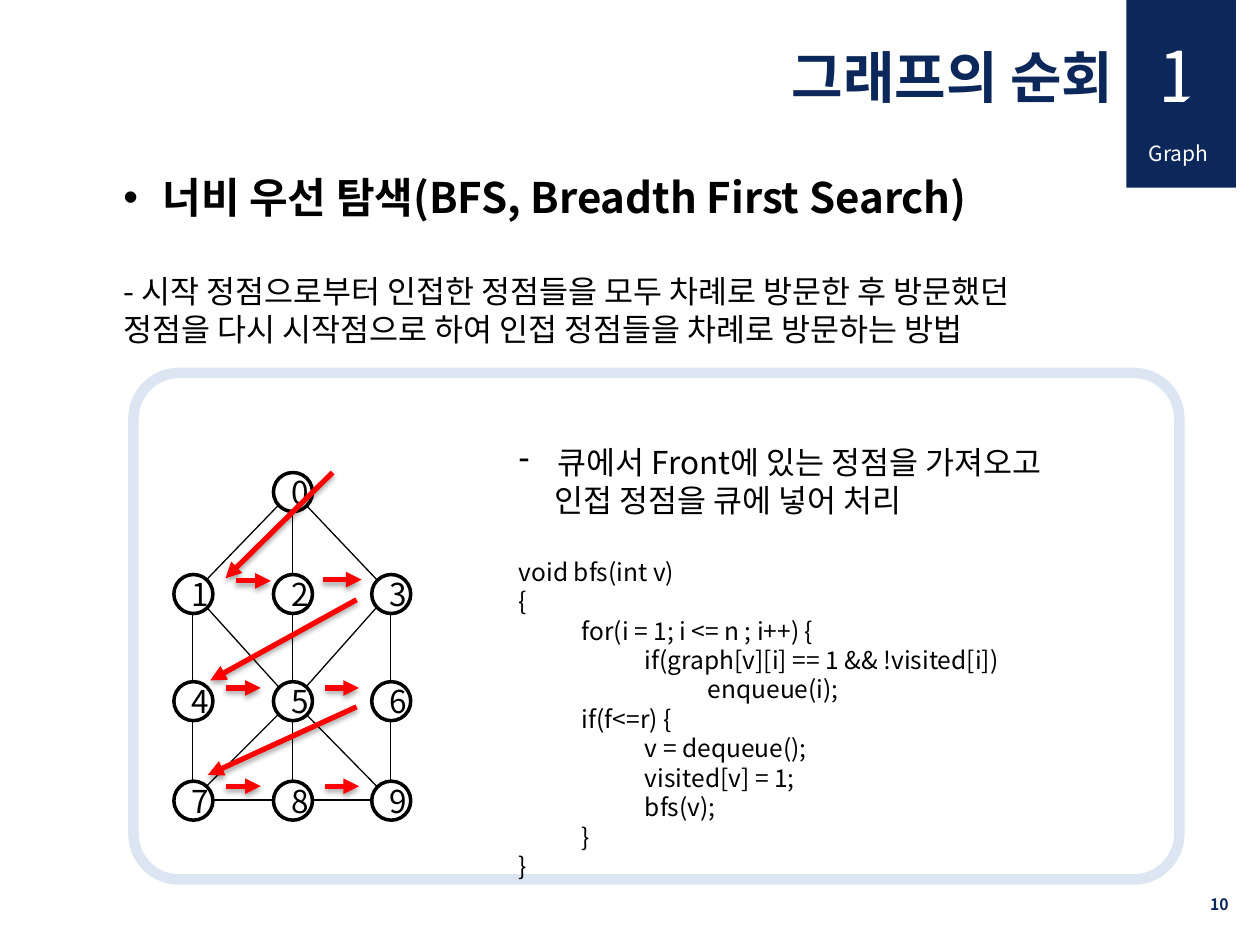
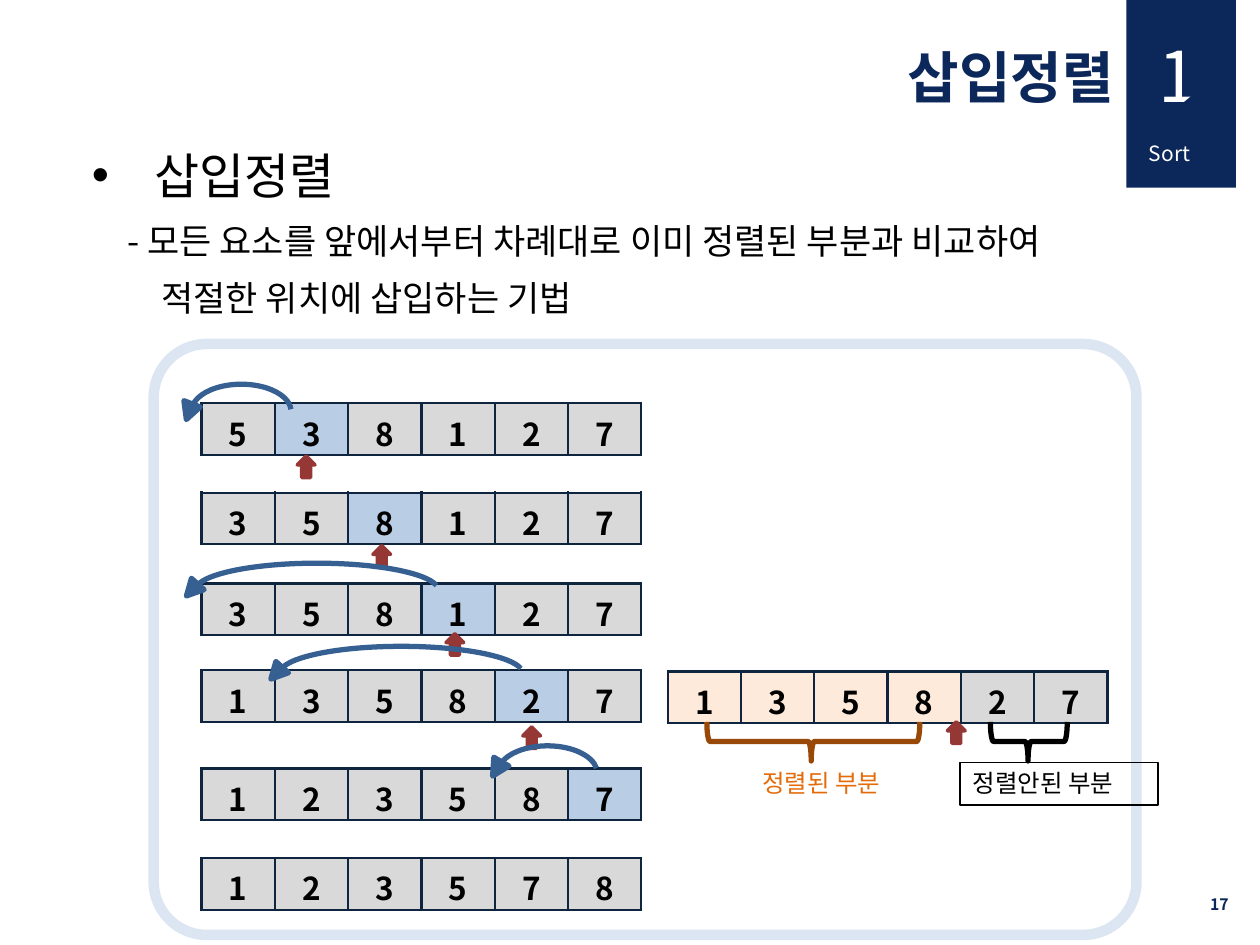
from lxml import etree
from pptx import Presentation
from pptx.dml.color import RGBColor
from pptx.enum.shapes import MSO_CONNECTOR, MSO_SHAPE
from pptx.enum.text import MSO_ANCHOR, MSO_AUTO_SIZE, PP_ALIGN
from pptx.oxml.ns import qn
from pptx.util import Pt

PX = 9144  # EMU per px, 100 px to the inch
FONT = "Noto Sans CJK KR"
NAVY, BLACK, WHITE, RED = "0C2759", "000000", "FFFFFF", "FF0000"
PANEL, GRAY, BLUE, PEACH = "DCE6F2", "D9D9D9", "B9CDE5", "FDEADA"
GRID, MARKER, ARC_BLUE = "0F243E", "953735", "376092"
BROWN, ORANGE = "984807", "E46C0A"

LEFT, CENTER, RIGHT = PP_ALIGN.LEFT, PP_ALIGN.CENTER, PP_ALIGN.RIGHT
TOP, MIDDLE = MSO_ANCHOR.TOP, MSO_ANCHOR.MIDDLE
RECT, ROUND_RECT, ELLIPSE = MSO_SHAPE.RECTANGLE, MSO_SHAPE.ROUNDED_RECTANGLE, MSO_SHAPE.OVAL
TRIANGLE, UP_ARROW = MSO_SHAPE.ISOSCELES_TRIANGLE, MSO_SHAPE.UP_ARROW
BRACE, ARC = MSO_SHAPE.RIGHT_BRACE, MSO_SHAPE.ARC
STRAIGHT = MSO_CONNECTOR.STRAIGHT

NODE = 31
COLUMNS = (138, 217, 295)
ROWS = (375, 456, 541, 620)
EDGES = [(0, 1), (0, 2), (0, 3), (2, 5), (3, 5), (1, 5), (1, 4), (4, 7),
         (7, 5), (3, 6), (6, 9), (5, 9), (5, 8), (7, 8), (8, 9)]
VISITS = [(264, 375, 179, 459), (187, 461, 215, 461), (256, 460, 287, 460),
          (283, 476, 167, 540), (179, 546, 207, 546), (258, 546, 285, 546),
          (283, 561, 165, 615), (179, 624, 207, 624), (258, 624, 285, 624)]

BFS_CODE = """void bfs(int v)
{
\tfor(i = 1; i <= n ; i++) {
\t\tif(graph[v][i] == 1 && !visited[i])
\t\t\tenqueue(i);
\tif(f<=r) {
\t\tv = dequeue();
\t\tvisited[v] = 1;
\t\tbfs(v);
\t}
}"""

# top, values, index of the highlighted cell
SORT_STEPS = [(320, "538127", 1), (391, "358127", 2), (463, "358127", 3),
              (532, "135827", 4), (610, "123587", 5), (681, "123578", None)]
MARKERS = [(236, 362), (296, 433), (354, 503), (415, 577), (752, 573)]
# tip of the arrowhead, its two other corners from the tip, arc box, arc angles
MOVES = [((148, 333), ((11, -10), (-2, -15)), (152, 305, 79, 43), (111.12, 214.6)),
         ((148, 473), ((14, -5), (4, -14)), (155, 447, 193, 43), (109.03, 214.6)),
         ((215, 539), ((14, -5), (4, -14)), (222, 513, 193, 43), (109.03, 214.6)),
         ((391, 616), ((13, -8), (1, -15)), (395, 592, 79, 43), (111.12, 212.61))]


def rgb(value):
    return RGBColor.from_string(value)


def px(*values):
    return [v * PX for v in values]


def set_all(target, values):
    for name, value in values.items():
        setattr(target, name, value)


def paint(s, fill=None, line=None, width=1):
    if fill:
        s.fill.solid()
        s.fill.fore_color.rgb = rgb(fill)
    else:
        s.fill.background()
    if line:
        s.line.color.rgb = rgb(line)
        s.line.width = Pt(width)
    else:
        s.line.fill.background()


def para(text, size, color=BLACK, bold=False, margin=0, hang=0, bullet=None, **layout):
    """Describe one paragraph; layout holds python-pptx paragraph attributes."""
    return dict(text=text, color=color, margin=margin, hang=hang, bullet=bullet,
                font=dict(size=Pt(size), bold=bold, name=FONT), layout=layout)


def write(tf, paras):
    for i, item in enumerate(paras):
        p = tf.paragraphs[0] if i == 0 else tf.add_paragraph()
        set_all(p, {"alignment": LEFT, "space_before": Pt(0), **item["layout"]})
        pPr = p._p.get_or_add_pPr()
        pPr.set("marL", str(item["margin"] * PX))
        pPr.set("indent", str(-item["hang"] * PX))
        if item["bullet"]:
            etree.SubElement(pPr, qn("a:buChar"), char=item["bullet"])
        else:
            etree.SubElement(pPr, qn("a:buNone"))
        r = p.add_run()
        r.text = item["text"]
        set_all(r.font, item["font"])
        r.font.color.rgb = rgb(item["color"])
        etree.SubElement(r._r.get_or_add_rPr(), qn("a:ea"), typeface=FONT)


def add_text(slide, box, *paras, anchor=TOP):
    s = slide.shapes.add_textbox(*px(*box))
    set_all(s.text_frame, dict(word_wrap=True, vertical_anchor=anchor))
    write(s.text_frame, paras)
    return s


def fill_placeholder(s, box, *paras):
    set_all(s, dict(zip(("left", "top", "width", "height"), px(*box))))
    set_all(s.text_frame, dict(word_wrap=True, vertical_anchor=TOP,
                               auto_size=MSO_AUTO_SIZE.NONE))
    write(s.text_frame, paras)


def add_shape(slide, kind, box, fill=None, line=None, width=1, adj=(), rotation=0):
    s = slide.shapes.add_shape(kind, *px(*box))
    s.shadow.inherit = False
    s.rotation = rotation
    for i, value in enumerate(adj):
        s.adjustments[i] = value
    paint(s, fill, line, width)
    return s


def add_line(slide, ends, color=BLACK, width=0.75):
    c = slide.shapes.add_connector(STRAIGHT, *px(*ends))
    c.line.color.rgb = rgb(color)
    c.line.width = Pt(width)
    etree.SubElement(c._element.spPr, qn("a:effectLst"))
    return c


def add_visit_arrow(slide, ends):
    spPr = add_line(slide, ends, RED, 3)._element.spPr
    etree.SubElement(spPr.find(qn("a:ln")), qn("a:tailEnd"), type="triangle")
    shadow = etree.SubElement(spPr.find(qn("a:effectLst")), qn("a:outerShdw"),
                              blurRad="39370", dist="23000", dir="5400000", rotWithShape="0")
    black = etree.SubElement(shadow, qn("a:srgbClr"), val=BLACK)
    etree.SubElement(black, qn("a:alpha"), val="35000")


def add_frame(prs, title, topic, number, panel):
    """Add a slide with its title, chapter band, page number and rounded panel."""
    slide = prs.slides.add_slide(prs.slide_layouts[1])
    fill_placeholder(slide.shapes.title, (579, 29, 315, 64),
                     para(title, 32, NAVY, True, alignment=RIGHT))
    add_shape(slide, RECT, (894, 0, 87, 149), NAVY)
    add_text(slide, (902, 107, 79, 30), para(topic, 12, WHITE))
    add_text(slide, (910, 21, 63, 77), para("1", 40, WHITE))
    add_shape(slide, TRIANGLE, (918, 60, 47, 39), NAVY, adj=(1,))
    add_text(slide, (752, 698, 233, 40),
             para(number, 9, NAVY, True, alignment=RIGHT), anchor=MIDDLE)
    add_shape(slide, ROUND_RECT, panel, line=PANEL, width=6, adj=(0.09,))
    return slide


def node_cell(n):
    """Row and column of a node; node 0 stands alone above the middle column."""
    return divmod(n + 2, 3) if n else (0, 1)


def add_node(slide, n):
    row, col = node_cell(n)
    s = add_shape(slide, ELLIPSE, (COLUMNS[col], ROWS[row], NODE, NODE), WHITE, BLACK, 2)
    s.text_frame.vertical_anchor = MIDDLE
    write(s.text_frame, [para(str(n), 18, alignment=CENTER)])


def add_edge(slide, a, b):
    """Join two nodes at the rim point, straight or at 45 degrees, that faces the other."""
    (row_a, col_a), (row_b, col_b) = node_cell(a), node_cell(b)
    dx = (col_b > col_a) - (col_b < col_a)
    dy = (row_b > row_a) - (row_b < row_a)
    reach = 11 if dx and dy else 16
    half = NODE // 2
    add_line(slide, (COLUMNS[col_a] + half + dx * reach, ROWS[row_a] + half + dy * reach,
                     COLUMNS[col_b] + half - dx * reach, ROWS[row_b] + half - dy * reach))


def add_array(slide, left, top, values, fills):
    table = slide.shapes.add_table(1, len(values), *px(left, top, 349, 41)).table
    table.first_row = table.horz_banding = False
    for cell, value, fill in zip(table.iter_cells(), values, fills):
        tcPr = cell._tc.get_or_add_tcPr()
        for side in "LRTB":
            ln = etree.SubElement(tcPr, qn("a:ln" + side), w=str(Pt(1.5)))
            solid = etree.SubElement(ln, qn("a:solidFill"))
            etree.SubElement(solid, qn("a:srgbClr"), val=GRID)
        cell.fill.solid()
        cell.fill.fore_color.rgb = rgb(fill)
        write(cell.text_frame, [para(value, 18, bold=True, alignment=CENTER)])


def add_move(slide, tip, corners, box, angles):
    """Draw an arc with a triangular head at its left end."""
    x, y = tip
    builder = slide.shapes.build_freeform(x, y, scale=PX)
    builder.add_line_segments([(x + dx, y + dy) for dx, dy in corners], close=True)
    head = builder.convert_to_shape()
    head.shadow.inherit = False
    paint(head, ARC_BLUE, ARC_BLUE, 3)
    add_shape(slide, ARC, box, line=ARC_BLUE, width=3, adj=angles)


def build_bfs(prs):
    slide = add_frame(prs, "그래프의 순회", "Graph", "10", (106, 296, 830, 402))
    fill_placeholder(
        slide.placeholders[1], (88, 131, 796, 151),
        para("너비 우선 탐색(BFS, Breadth First Search)", 24, bold=True,
             margin=31, hang=31, bullet="•"),
        para("- 시작 정점으로부터 인접한 정점들을 모두 차례로 방문한 후 방문했던 정점을 "
             "다시 시작점으로 하여 인접 정점들을 차례로 방문하는 방법", 18, space_before=Pt(29)))
    first, *rest = BFS_CODE.split("\n")
    add_text(slide, (402, 347, 533, 390),
             para("큐에서 Front에 있는 정점을 가져오고", 18, margin=31, hang=31, bullet="-"),
             para("인접 정점을 큐에 넣어 처리", 18, margin=28),
             para(first, 14, space_before=Pt(21.6)),
             *[para(line, 14) for line in rest])
    for n in range(10):
        add_node(slide, n)
    for edge in EDGES:
        add_edge(slide, *edge)
    for ends in VISITS:
        add_visit_arrow(slide, ends)


def build_insertion_sort(prs):
    slide = add_frame(prs, "삽입정렬", "Sort", "17", (122, 273, 780, 469))
    loose = dict(line_spacing=1.2, space_before=Pt(4))
    fill_placeholder(
        slide.placeholders[1], (63, 101, 937, 203),
        para("삽입정렬", 28, margin=50, hang=50, bullet="•", line_spacing=1.2),
        para("- 모든 요소를 앞에서부터 차례대로 이미 정렬된 부분과 비교하여", 20, margin=28, **loose),
        para("적절한 위치에 삽입하는 기법", 20, margin=55, **loose))
    for top, values, current in SORT_STEPS:
        add_array(slide, 160, top, values,
                  [BLUE if i == current else GRAY for i in range(len(values))])
    add_array(slide, 530, 533, "135827", [PEACH] * 4 + [GRAY] * 2)
    for x, y in MARKERS:
        add_shape(slide, UP_ARROW, (x, y, 14, 17), MARKER, MARKER, 2)
    for box, color in (((630, 504, 31, 169), BROWN), ((801, 558, 31, 61), BLACK)):
        add_shape(slide, BRACE, box, line=color, width=3, adj=(0.08, 0.51), rotation=90)
    add_text(slide, (595, 605, 137, 34), para("정렬된 부분", 14, ORANGE))
    unsorted_label = add_text(slide, (762, 605, 157, 34), para("정렬안된 부분", 14))
    paint(unsorted_label, line=BLACK, width=0.75)
    for move in MOVES:
        add_move(slide, *move)


def main():
    prs = Presentation()
    prs.slide_width, prs.slide_height = px(1000, 750)
    build_bfs(prs)
    build_insertion_sort(prs)
    prs.save("out.pptx")


if __name__ == "__main__":
    main()
